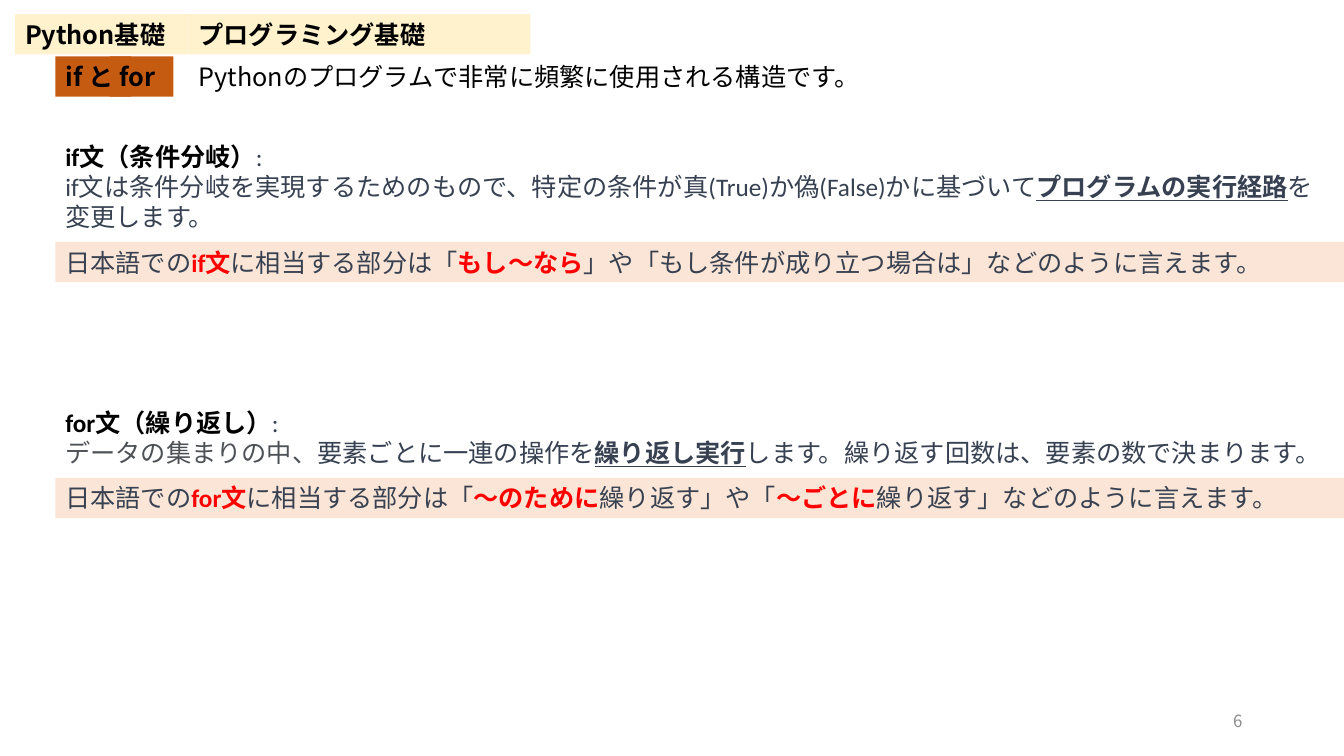
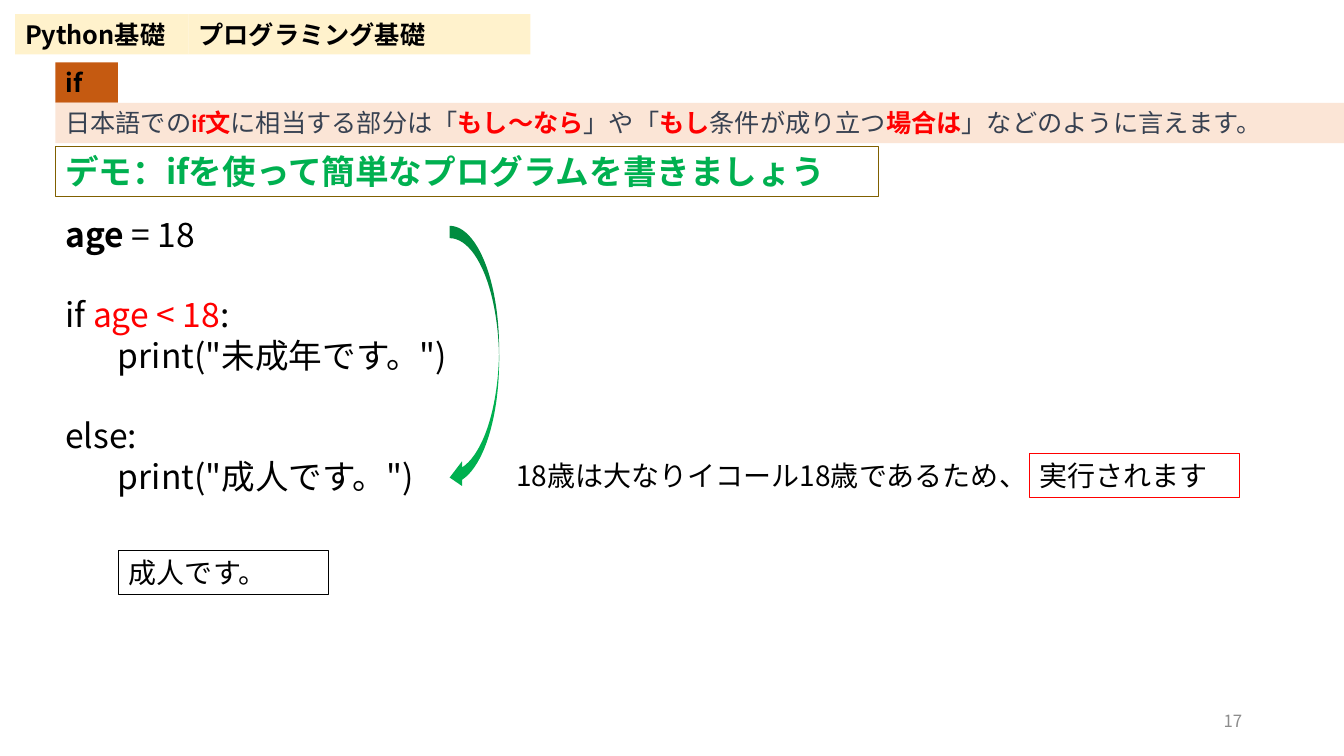
import pptx
import pptx.util
import pptx.dml.color
import pptx.enum.shapes
import pptx.enum.text
import pptx.oxml
import pptx.oxml.ns

Inches = pptx.util.Inches
Pt = pptx.util.Pt
SHAPES = pptx.enum.shapes.MSO_SHAPE
ALIGN = pptx.enum.text.PP_ALIGN
ANCHOR = pptx.enum.text.MSO_ANCHOR

COLORS = {
    "black": "000000", "slate": "374151", "gray": "4D5156", "pale": "8C8C8C",
    "red": "FF0000", "green": "00B050", "olive": "806000",
    "cream": "FFF2CC", "rust": "C55A11", "peach": "FBE5D6",
}
SANS = "Noto Sans CJK JP"
BODY = "Calibri"
LEFT = 0.55
WIDE = 12.57
ROW = 0.4
TEXT_X = 1.87

# Run styles: colour, bold, underline, font; None keeps the paragraph's own.
STYLES = {
    "head": ("black", True, None, None),
    "key": ("red", True, None, None),
    "red": ("red", None, None, None),
    "bold": (None, True, None, None),
    "line": (None, True, True, None),
    "data": ("gray", None, None, "Arial"),
}


def rgb(name):
    return pptx.dml.color.RGBColor.from_string(COLORS[name])


def set_asian(props):
    """Gives East Asian letters the sans font."""
    font = pptx.oxml.parse_xml(
        f'<a:ea {pptx.oxml.ns.nsdecls("a")} typeface="{SANS}"/>')
    props.append(font)


def add_runs(para, parts):
    """Adds plain strings and (text, style) pairs as runs."""
    for part in [parts] if isinstance(parts, str) else parts:
        text, style = (part, None) if isinstance(part, str) else part
        run = para.add_run()
        run.text = text
        if style is None:
            continue
        color, bold, under, face = STYLES[style]
        run.font.bold = bold
        run.font.underline = under
        if color:
            run.font.color.rgb = rgb(color)
        if face:
            run.font.name = face
            set_asian(run.font._element)


def add_text(slide, box, paras, size=18, face=SANS, color="black", bold=False,
             fill=None, line=None, aligns=(ALIGN.LEFT,), gaps=(),
             anchor=ANCHOR.TOP):
    """Adds a text box, or a rectangle when it has a fill or a line."""
    area = [Inches(v) for v in box]
    if fill or line:
        shape = slide.shapes.add_shape(SHAPES.RECTANGLE, *area)
        paint(shape, fill, line)
    else:
        shape = slide.shapes.add_textbox(*area)
    frame = shape.text_frame
    frame.word_wrap = True
    frame.vertical_anchor = anchor
    for i, parts in enumerate(paras):
        para = frame.add_paragraph() if i else frame.paragraphs[0]
        para.alignment = aligns[min(i, len(aligns) - 1)]
        if i in gaps:
            para.space_before = Pt(size * 1.2)
        font = para.font
        font.size = Pt(size)
        font.bold = bold
        font.color.rgb = rgb(color)
        font.name = face
        set_asian(font._element)
        add_runs(para, parts)
    return shape


def paint(shape, fill=None, line=None):
    shape.shadow.inherit = False
    if fill:
        shape.fill.solid()
        shape.fill.fore_color.rgb = rgb(fill)
    else:
        shape.fill.background()
    if line:
        shape.line.color.rgb = rgb(line)
        shape.line.width = Pt(0.75)
    else:
        shape.line.fill.background()


def add_frame(deck, number):
    """Adds a slide with the title band and the page number."""
    slide = deck.slides.add_slide(deck.slide_layouts[6])
    for left, width, text in ((TEXT_X, 3.39, "プログラミング基礎"),
                              (0.15, 1.72, "Python基礎")):
        add_text(slide, (left, 0.14, width, ROW), [text], bold=True,
                 fill="cream")
    add_text(slide, (9.42, 6.95, 3, ROW), [number], size=12, color="pale",
             aligns=(ALIGN.RIGHT,), anchor=ANCHOR.MIDDLE)
    return slide


def add_tag(slide, left, top, width, text):
    add_text(slide, (left, top, width, ROW), [text], bold=True, fill="rust")


def add_band(slide, top, parts):
    """Adds the band that gives the Japanese wording of a statement."""
    add_text(slide, (LEFT, top, 13.33 - LEFT, ROW), [parts], face=BODY,
             color="slate", fill="peach", aligns=(ALIGN.JUSTIFY,))


def add_topic(slide, top, height, title, body, band, last):
    """Adds a statement's heading and meaning, with its band below."""
    add_text(slide, (LEFT, top, WIDE, height), [[(title, "head"), ":"], body],
             face=BODY, color="slate", aligns=(ALIGN.JUSTIFY, last))
    add_band(slide, top + height + 0.04, band)


def add_code(slide, left, top):
    lines = [
        [("age", "bold"), " = 18"],
        ["if ", ("age < 18", "red"), ":"],
        '       print("未成年です。")',
        "else:",
        '       print("成人です。")',
    ]
    add_text(slide, (left, top, 7.66, 2.93), lines, size=24, gaps=(1, 3))
    arrow = slide.shapes.add_shape(
        SHAPES.CURVED_LEFT_ARROW, Inches(left + 3.91), Inches(top + 0.17),
        Inches(0.49), Inches(2.62))
    paint(arrow, "green")


def add_result(slide, top):
    """Adds the reason beside the code and the printed output below."""
    for left, drop, width, text, line in (
            (5.02, 0, 5.45, "18歳は大なりイコール18歳であるため、", None),
            (10.21, 0, 2.08, "実行されます", "red"),
            (1.18, 0.96, 2.08, "成人です。", "black")):
        add_text(slide, (left, top + drop, width, 0.44), [text], size=20,
                 line=line)


def build_intro(deck):
    slide = add_frame(deck, "6")
    top = 0.56
    add_tag(slide, LEFT, top, 0.75, "if と")
    add_text(slide, (TEXT_X, top, 7.19, ROW),
             ["Pythonのプログラムで非常に頻繁に使用される構造です。"])
    add_tag(slide, 1.09, top, 0.63, "for")
    add_topic(
        slide, 1.35, 1.01, "if文（条件分岐）",
        ["if文は条件分岐を実現するためのもので、"
         "特定の条件が真(True)か偽(False)かに基づいて",
         ("プログラムの実行経路", "line"), "を変更します。"],
        ["日本語での", ("if文", "key"), "に相当する部分は「",
         ("もし〜なら", "key"),
         "」や「もし条件が成り立つ場合は」などのように言えます。"],
        ALIGN.JUSTIFY)
    add_topic(
        slide, 3.99, 0.71, "for文（繰り返し）",
        [("データの集まりの中、", "data"), "要素ごとに一連の操作を",
         ("繰り返し実行", "line"),
         "します。繰り返す回数は、要素の数で決まります。"],
        ["日本語での", ("for文", "key"), "に相当する部分は「",
         ("〜のために", "key"), "繰り返す」や「", ("〜ごとに", "key"),
         "繰り返す」などのように言えます。"],
        ALIGN.LEFT)


def build_demo(deck):
    slide = add_frame(deck, "17")
    add_tag(slide, LEFT, 0.62, 0.62, "if")
    add_text(slide, (LEFT, 1.45, 8.16, 0.5),
             ["デモ：ifを使って簡単なプログラムを書きましょう"],
             size=24, color="green", bold=True, line="olive")
    add_band(slide, 1.02, [
        "日本語での", ("if文", "key"), "に相当する部分は「",
        ("もし〜なら", "key"), "」や「", ("もし", "key"), "条件が成り立つ",
        ("場合は", "key"), "」などのように言えます。"])
    add_code(slide, LEFT, 2.07)
    add_result(slide, 4.5)


def main():
    deck = pptx.Presentation()
    deck.slide_width = Inches(13.33)
    deck.slide_height = Inches(7.5)
    build_intro(deck)
    build_demo(deck)
    deck.save("out.pptx")


if __name__ == "__main__":
    main()
